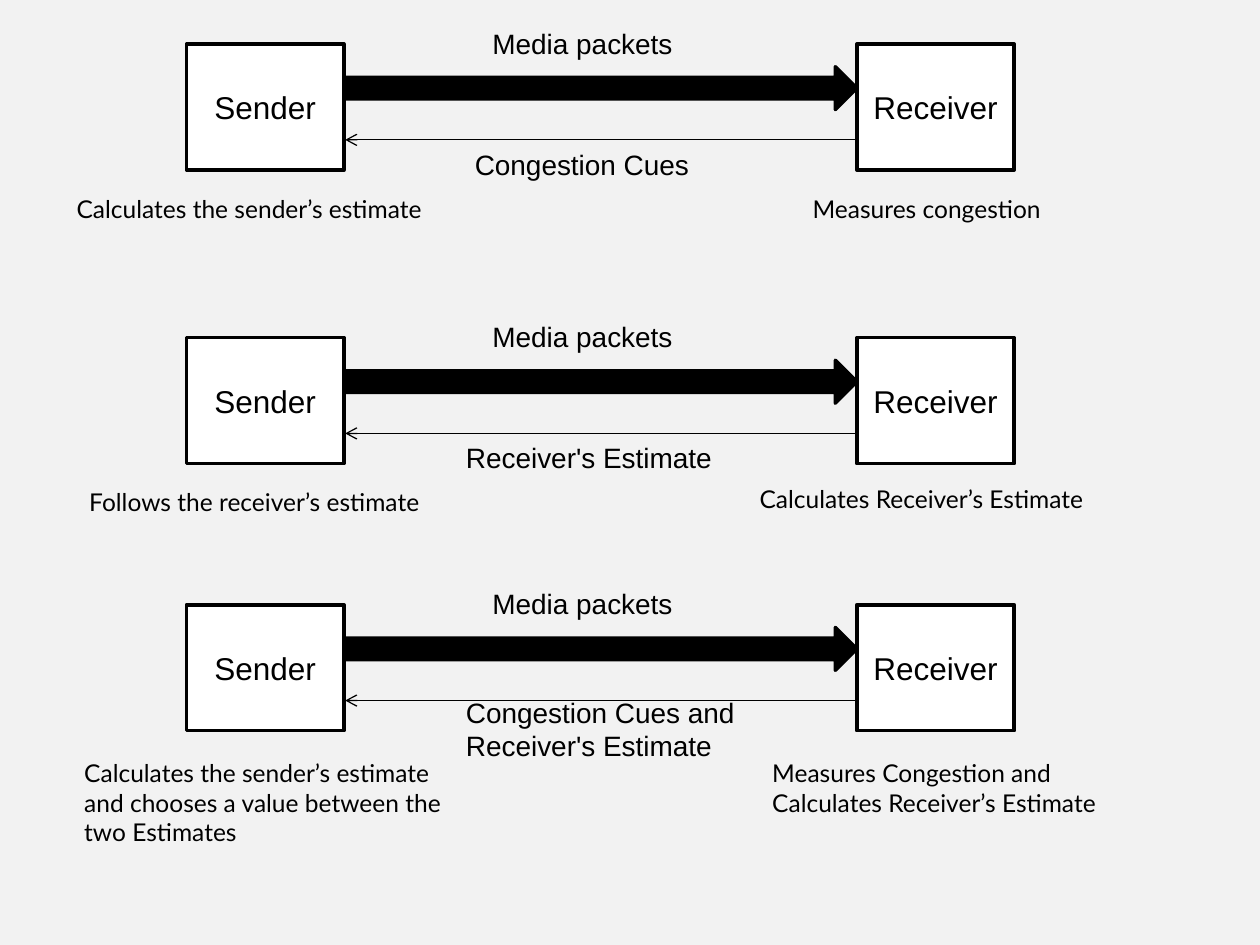
"""Build a slide comparing three sender and receiver congestion control schemes."""
from dataclasses import dataclass

from lxml.etree import SubElement
from pptx import Presentation
from pptx.dml.color import RGBColor
from pptx.enum.shapes import MSO_CONNECTOR, MSO_SHAPE
from pptx.enum.text import MSO_ANCHOR, MSO_AUTO_SIZE, PP_ALIGN
from pptx.oxml.ns import qn
from pptx.shapes.autoshape import Shape
from pptx.slide import Slide
from pptx.util import Inches, Pt

COLORS = {"background": "F2F2F2", "box": "FFFFFF", "ink": "000000"}
SENDER_X, RECEIVER_X = 1.48, 6.8
BOX_W, BOX_H = 1.25, 1
LINK_X = 2.74


@dataclass
class Label:
    text: str
    x: float
    y: float
    w: float
    h: float


@dataclass
class Scheme:
    top: float
    feedback: Label
    sender_role: Label
    receiver_role: Label


SCHEMES = [
    Scheme(0.35, Label("Congestion Cues", 3.67, 1.12, 1.97, 0.37),
           Label("Calculates the sender’s estimate", 0.51, 1.49, 3.2, 0.34),
           Label("Measures congestion", 6.35, 1.49, 2.19, 0.34)),
    Scheme(2.68, Label("Receiver's Estimate", 3.6, 3.45, 2.27, 0.37),
           Label("Follows the receiver’s estimate", 0.61, 3.82, 2.99, 0.34),
           Label("Calculates Receiver’s Estimate", 5.93, 3.79, 3.02, 0.34)),
    Scheme(4.8, Label("Congestion Cues and\nReceiver's Estimate", 3.6, 5.47, 2.43, 0.64),
           Label("Calculates the sender’s estimate and chooses a value between the two Estimates",
                 0.57, 5.97, 3.06, 0.81),
           Label("Measures Congestion and Calculates Receiver’s Estimate",
                 6.03, 5.97, 2.91, 0.57)),
]


def rgb(name: str) -> RGBColor:
    return RGBColor.from_string(COLORS[name])


def write(sp: Shape, text: str, *, size: int, font: str = "Arial",
          align: PP_ALIGN = PP_ALIGN.LEFT) -> None:
    tf = sp.text_frame
    tf.text = text
    for p in tf.paragraphs:
        p.alignment = align
        for r in p.runs:
            r.font.size = Pt(size)
            r.font.name = font
            r.font.color.rgb = rgb("ink")


def add_label(s: Slide, label: Label, *, size: int, font: str = "Arial",
              wrap: bool = False) -> None:
    sp = s.shapes.add_textbox(Inches(label.x), Inches(label.y),
                              Inches(label.w), Inches(label.h))
    write(sp, label.text, size=size, font=font)
    sp.text_frame.word_wrap = wrap
    sp.text_frame.auto_size = MSO_AUTO_SIZE.SHAPE_TO_FIT_TEXT


def add_block(s: Slide, kind: MSO_SHAPE, x: float, y: float, w: float, h: float,
              fill: str) -> Shape:
    sp = s.shapes.add_shape(kind, Inches(x), Inches(y), Inches(w), Inches(h))
    sp.shadow.inherit = False
    sp.fill.solid()
    sp.fill.fore_color.rgb = rgb(fill)
    sp.line.color.rgb = rgb("ink")
    sp.line.width = Pt(2)
    return sp


def add_endpoint(s: Slide, text: str, x: float, y: float) -> None:
    sp = add_block(s, MSO_SHAPE.RECTANGLE, x, y, BOX_W, BOX_H, "box")
    write(sp, text, size=18, align=PP_ALIGN.CENTER)
    sp.text_frame.vertical_anchor = MSO_ANCHOR.MIDDLE


def add_feedback_arrow(s: Slide, y: float) -> None:
    cxn = s.shapes.add_connector(MSO_CONNECTOR.STRAIGHT, Inches(RECEIVER_X), Inches(y),
                                 Inches(LINK_X), Inches(y))
    cxn.line.color.rgb = rgb("ink")
    cxn.line.width = Pt(0.75)
    SubElement(cxn.line._get_or_add_ln(), qn("a:tailEnd"), type="arrow")
    SubElement(cxn._element.spPr, qn("a:effectLst"))


def add_scheme(s: Slide, scheme: Scheme) -> None:
    top = scheme.top
    add_endpoint(s, "Receiver", RECEIVER_X, top)
    add_endpoint(s, "Sender", SENDER_X, top)
    add_block(s, MSO_SHAPE.RIGHT_ARROW, LINK_X, top + 0.18, RECEIVER_X - LINK_X, 0.34, "ink")
    add_label(s, Label("Media packets", 3.81, top - 0.19, 1.72, 0.37), size=16)
    add_feedback_arrow(s, top + 0.76)
    add_label(s, scheme.feedback, size=16)
    for role in (scheme.sender_role, scheme.receiver_role):
        add_label(s, role, size=14, font="Lato", wrap=True)


def main() -> None:
    prs = Presentation()
    prs.slide_width, prs.slide_height = Inches(10), Inches(7.5)
    s = prs.slides.add_slide(prs.slide_layouts[6])
    s.background.fill.solid()
    s.background.fill.fore_color.rgb = rgb("background")
    for scheme in SCHEMES:
        add_scheme(s, scheme)
    prs.save("out.pptx")


if __name__ == "__main__":
    main()
